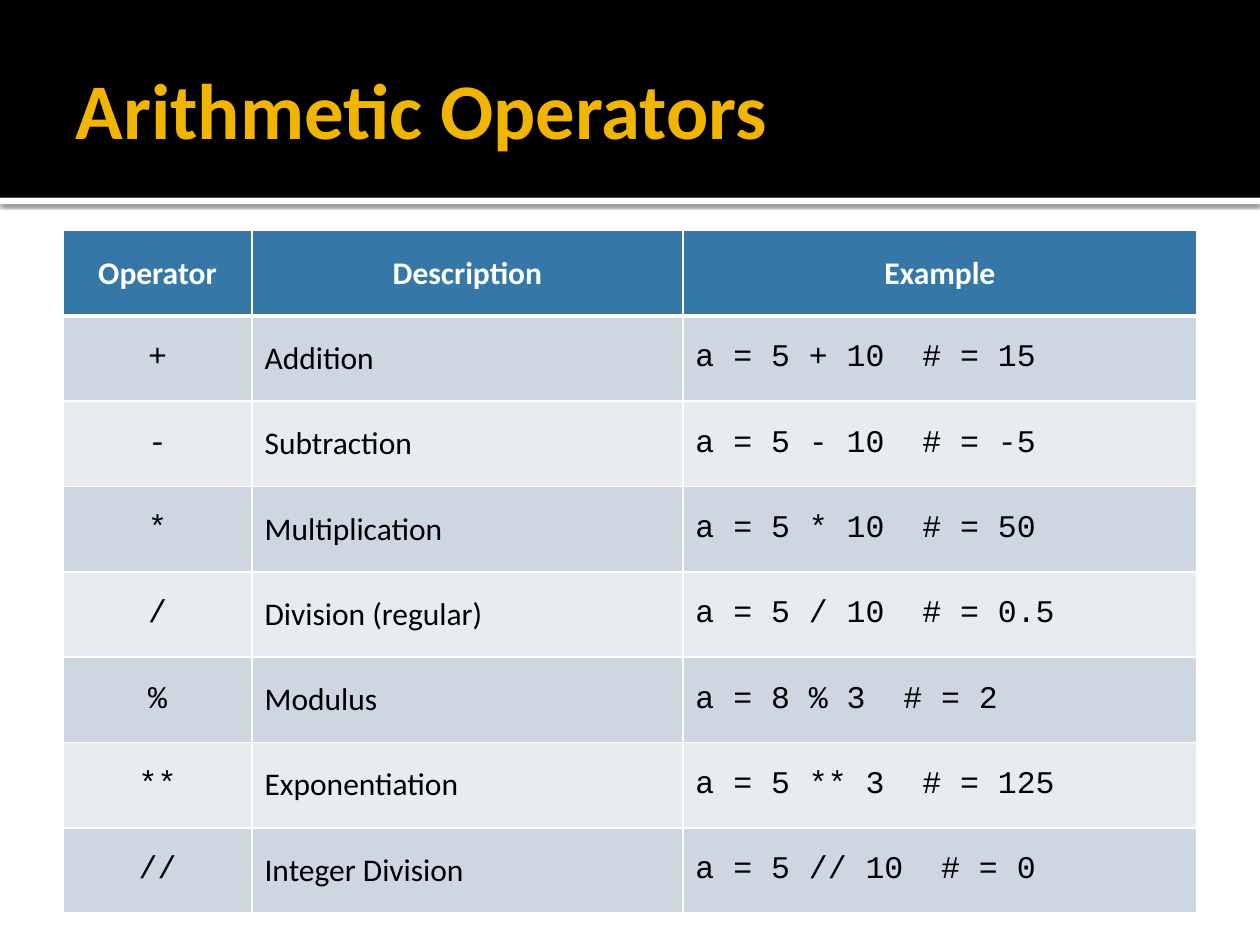
from lxml import etree
from pptx import Presentation
from pptx.dml.color import RGBColor
from pptx.enum.shapes import MSO_SHAPE
from pptx.enum.text import MSO_ANCHOR, MSO_AUTO_SIZE, PP_ALIGN
from pptx.oxml.ns import qn
from pptx.util import Inches, Pt

RECTANGLE = MSO_SHAPE.RECTANGLE
MIDDLE = MSO_ANCHOR.MIDDLE
NO_AUTOFIT = MSO_AUTO_SIZE.NONE
LEFT, CENTER = PP_ALIGN.LEFT, PP_ALIGN.CENTER
TITLE_ONLY = 5

COLORS = {
    "white": "FFFFFF",
    "black": "000000",
    "gold": "F1B500",
    "header": "3577A7",
    "odd_row": "CED6E1",
    "even_row": "E8ECF1",
}
BODY_FONT, CODE_FONT = "Calibri", "Courier New"

HEADINGS = ["Operator", "Description", "Example"]
OPERATORS = [
    ("+", "Addition", "a = 5 + 10  # = 15"),
    ("-", "Subtraction", "a = 5 - 10  # = -5"),
    ("*", "Multiplication", "a = 5 * 10  # = 50"),
    ("/", "Division (regular)", "a = 5 / 10  # = 0.5"),
    ("%", "Modulus", "a = 8 % 3  # = 2"),
    ("**", "Exponentiation", "a = 5 ** 3  # = 125"),
    ("//", "Integer Division", "a = 5 // 10  # = 0"),
]
COLUMN_WIDTHS = [1.5, 3.42, 4.08]
COLUMN_FONTS = [CODE_FONT, BODY_FONT, CODE_FONT]
COLUMN_ALIGNMENTS = [CENTER, LEFT, LEFT]
TABLE_HEIGHT = 5.42
THIN, THICK = 1, 3


def rgb(name):
    return RGBColor.from_string(COLORS[name])


def set_attributes(target, values):
    for name, value in values.items():
        setattr(target, name, value)


def write_text(frame, text, alignment, color, **font_format):
    frame.text = text
    paragraph = frame.paragraphs[0]
    paragraph.alignment = alignment
    font = paragraph.runs[0].font
    set_attributes(font, font_format)
    font.color.rgb = rgb(color)


def add_band(slide, top, height, color):
    band = slide.shapes.add_shape(
        RECTANGLE, 0, Inches(top), Inches(10), Inches(height))
    band.shadow.inherit = False
    band.fill.solid()
    band.fill.fore_color.rgb = rgb(color)
    band.line.fill.background()
    return band


def add_shadow(shape):
    effects = shape._element.spPr.find(qn("a:effectLst"))
    shadow = etree.SubElement(
        effects, qn("a:outerShdw"), blurRad=str(Pt(2.5)), dist=str(Pt(0.8)),
        dir="5400000", algn="tl", rotWithShape="0")
    shade = etree.SubElement(shadow, qn("a:srgbClr"), val=COLORS["black"])
    etree.SubElement(shade, qn("a:alpha"), val="60000")


def format_title(slide, text):
    title = slide.shapes.title
    set_attributes(title, {
        "left": Inches(0.5), "top": Inches(0.17),
        "width": Inches(7.92), "height": Inches(1.37)})
    set_attributes(title.text_frame, {
        "margin_left": Inches(0.1), "margin_right": Inches(0.05),
        "margin_top": Inches(0.05), "margin_bottom": Inches(0.05),
        "vertical_anchor": MIDDLE, "word_wrap": True,
        "auto_size": NO_AUTOFIT})
    write_text(title.text_frame, text, LEFT, "gold",
               name=BODY_FONT, size=Pt(45), bold=True)
    # Bring the title in front of the bands
    slide.shapes._spTree.append(title._element)


def add_borders(cell, top, bottom):
    properties = cell._tc.get_or_add_tcPr()
    edges = {"lnL": THIN, "lnR": THIN, "lnT": top, "lnB": bottom}
    # Borders stand before the fill
    for position, (edge, width) in enumerate(edges.items()):
        line = etree.Element(qn(f"a:{edge}"), w=str(Pt(width)))
        fill = etree.SubElement(line, qn("a:solidFill"))
        etree.SubElement(fill, qn("a:srgbClr"), val=COLORS["white"])
        properties.insert(position, line)


def fill_cell(cell, row, column, text):
    is_header = row == 0
    cell.vertical_anchor = MIDDLE
    cell.fill.solid()
    row_color = "odd_row" if row % 2 else "even_row"
    cell.fill.fore_color.rgb = rgb("header" if is_header else row_color)
    write_text(
        cell.text_frame, text,
        CENTER if is_header else COLUMN_ALIGNMENTS[column],
        "white" if is_header else "black",
        name=BODY_FONT if is_header else COLUMN_FONTS[column],
        size=Pt(18), bold=is_header)
    add_borders(cell, top=THICK if row == 1 else THIN,
                bottom=THICK if is_header else THIN)


def add_operator_table(slide):
    rows = [HEADINGS, *OPERATORS]
    table = slide.shapes.add_table(
        len(rows), len(HEADINGS), Inches(0.5), Inches(1.83),
        Inches(sum(COLUMN_WIDTHS)), Inches(TABLE_HEIGHT)).table
    for column, width in zip(table.columns, COLUMN_WIDTHS):
        column.width = Inches(width)
    for row, texts in enumerate(rows):
        for column, text in enumerate(texts):
            fill_cell(table.cell(row, column), row, column, text)


def main():
    presentation = Presentation()
    presentation.slide_width = Inches(10)
    presentation.slide_height = Inches(7.5)
    slide = presentation.slides.add_slide(
        presentation.slide_layouts[TITLE_ONLY])

    # Title band with a shadowed white strip below it
    strip = add_band(slide, 1.57, 0.05, "white")
    add_shadow(strip)
    add_band(slide, 0, 1.57, "black")
    format_title(slide, "Arithmetic Operators")

    # Operators
    add_operator_table(slide)
    presentation.save("out.pptx")


if __name__ == "__main__":
    main()
